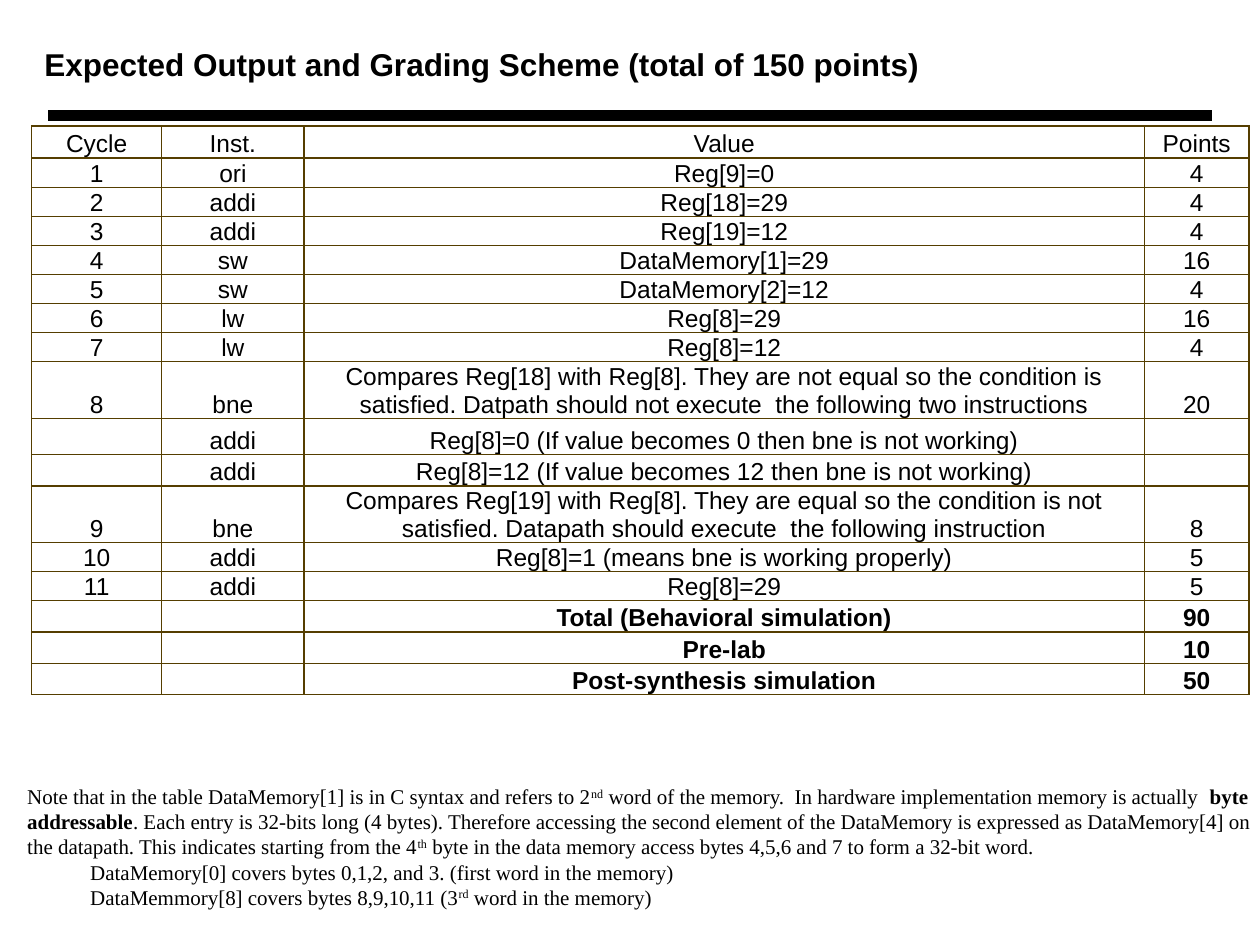
import pptx
import pptx.dml.color
import pptx.enum.shapes
import pptx.enum.text
import pptx.oxml.ns
import pptx.util
from lxml import etree
from pptx.util import Cm

BLACK = pptx.dml.color.RGBColor(0x00, 0x00, 0x00)
BROWN = pptx.dml.color.RGBColor(0x55, 0x3E, 0x00)
ANCHOR = pptx.enum.text.MSO_ANCHOR
ALIGN = pptx.enum.text.PP_ALIGN
AUTO_SIZE = pptx.enum.text.MSO_AUTO_SIZE
qn = pptx.oxml.ns.qn

COLUMN_WIDTHS = [2.62, 2.87, 16.94, 2.11]
LINE_ROW = 0.58
ROW_HEIGHTS = {0: 0.65, 8: 1.14, 9: 0.73, 11: 1.14}  # rows that differ from LINE_ROW
FIRST_BOLD_ROW = 14
GRADING = [
    ("Cycle", "Inst.", "Value", "Points"),
    ("1", "ori", "Reg[9]=0", "4"),
    ("2", "addi", "Reg[18]=29", "4"),
    ("3", "addi", "Reg[19]=12", "4"),
    ("4", "sw", "DataMemory[1]=29", "16"),
    ("5", "sw", "DataMemory[2]=12", "4"),
    ("6", "lw", "Reg[8]=29", "16"),
    ("7", "lw", "Reg[8]=12", "4"),
    ("8", "bne", "Compares Reg[18] with Reg[8]. They are not equal so the condition is "
     "satisfied. Datpath should not execute  the following two instructions", "20"),
    ("", "addi", "Reg[8]=0 (If value becomes 0 then bne is not working)", ""),
    ("", "addi", "Reg[8]=12 (If value becomes 12 then bne is not working)", ""),
    ("9", "bne", "Compares Reg[19] with Reg[8]. They are equal so the condition is not "
     "satisfied. Datapath should execute  the following instruction", "8"),
    ("10", "addi", "Reg[8]=1 (means bne is working properly)", "5"),
    ("11", "addi", "Reg[8]=29", "5"),
    ("", "", "Total (Behavioral simulation)", "90"),
    ("", "", "Pre-lab", "10"),
    ("", "", "Post-synthesis simulation", "50"),
]

# Each paragraph is a list of (text, format) spans
RAISED = {"raised": True}
NOTE = [
    [("Note that in the table DataMemory[1] is in C syntax and refers to 2", {}),
     ("nd", RAISED),
     (" word of the memory.  In hardware implementation memory is actually  ", {}),
     ("byte addressable", {"bold": True}),
     (". Each entry is 32-bits long (4 bytes). Therefore accessing the second element of "
      "the DataMemory is expressed as DataMemory[4] on the datapath. This indicates "
      "starting from the 4", {}),
     ("th", RAISED),
     (" byte in the data memory access bytes 4,5,6 and 7 to form a 32-bit word.", {})],
    [("\tDataMemory[0] covers bytes 0,1,2, and 3. (first word in the memory)", {})],
    [("\tDataMemmory[8] covers bytes 8,9,10,11 (3", {}),
     ("rd", RAISED),
     (" word in the memory)", {})],
]


def add_span(para, text, font="Arial", size=14, color=BLACK, bold=False, raised=False):
    span = para.add_run()
    span.text = text
    span.font.name = font
    span.font.size = pptx.util.Pt(size)
    span.font.color.rgb = color
    span.font.bold = bold
    if raised:
        span.font._element.set("baseline", "30000")
    return span


def add_title(page, left, top, width, height):
    box = page.shapes.title
    box.left, box.top, box.width, box.height = left, top, width, height
    frame = box.text_frame
    frame.word_wrap = True
    frame.auto_size = AUTO_SIZE.NONE
    frame.vertical_anchor = ANCHOR.MIDDLE
    para = frame.paragraphs[0]
    para.alignment = ALIGN.LEFT
    add_span(para, "Expected Output and Grading Scheme (total of 150 points)",
             size=18, bold=True)


def add_rule(page, left, top, width):
    rule = page.shapes.add_connector(
        pptx.enum.shapes.MSO_CONNECTOR.STRAIGHT, left, top, left + width, top)
    rule.line.color.rgb = BLACK
    rule.line.width = pptx.util.Pt(6)
    etree.SubElement(rule._element.spPr, qn("a:effectLst"))


def set_borders(cell, color, points):
    properties = cell._tc.get_or_add_tcPr()
    for side in ("lnL", "lnR", "lnT", "lnB"):
        border = etree.SubElement(properties, qn("a:" + side),
                                  w=str(pptx.util.Pt(points)))
        fill = etree.SubElement(border, qn("a:solidFill"))
        etree.SubElement(fill, qn("a:srgbClr"), val=str(color))


def fill_cell(cell, text, bold):
    set_borders(cell, BROWN, 1)
    cell.fill.background()
    cell.vertical_anchor = ANCHOR.BOTTOM
    cell.margin_left = cell.margin_right = cell.margin_top = Cm(0.03)
    cell.margin_bottom = 0
    para = cell.text_frame.paragraphs[0]
    para.alignment = ALIGN.CENTER
    if text:
        add_span(para, text, bold=bold)
    else:  # keeps an empty cell as low as a line of text
        etree.SubElement(para._p, qn("a:endParaRPr"), sz="1400")


def add_grading_table(page, left, top):
    heights = [Cm(ROW_HEIGHTS.get(i, LINE_ROW)) for i in range(len(GRADING))]
    widths = [Cm(width) for width in COLUMN_WIDTHS]
    table = page.shapes.add_table(len(heights), len(widths), left, top,
                                  sum(widths), sum(heights)).table
    table.first_row = False
    table.horz_banding = False
    for column, width in zip(table.columns, widths):
        column.width = width
    for i, (row, height) in enumerate(zip(table.rows, heights)):
        row.height = height
        for cell, text in zip(row.cells, GRADING[i]):
            fill_cell(cell, text, bold=i >= FIRST_BOLD_ROW)


def add_note(page, left, top, width, height):
    frame = page.shapes.add_textbox(left, top, width, height).text_frame
    frame.word_wrap = True
    frame.auto_size = AUTO_SIZE.SHAPE_TO_FIT_TEXT
    for i, spans in enumerate(NOTE):
        para = frame.add_paragraph() if i else frame.paragraphs[0]
        for text, style in spans:
            add_span(para, text, font="Times New Roman", size=12, **style)


def main():
    deck = pptx.Presentation()
    deck.slide_width, deck.slide_height = Cm(25.4), Cm(19.05)
    page = deck.slides.add_slide(deck.slide_layouts[5])  # title only
    add_rule(page, Cm(0.97), Cm(2.33), Cm(23.47))
    add_title(page, Cm(0.64), Cm(0.43), Cm(21.16), Cm(1.7))
    add_grading_table(page, Cm(0.64), Cm(2.54))
    add_note(page, Cm(0.3), Cm(15.67), Cm(25.2), Cm(2.82))
    deck.save("out.pptx")


if __name__ == "__main__":
    main()
